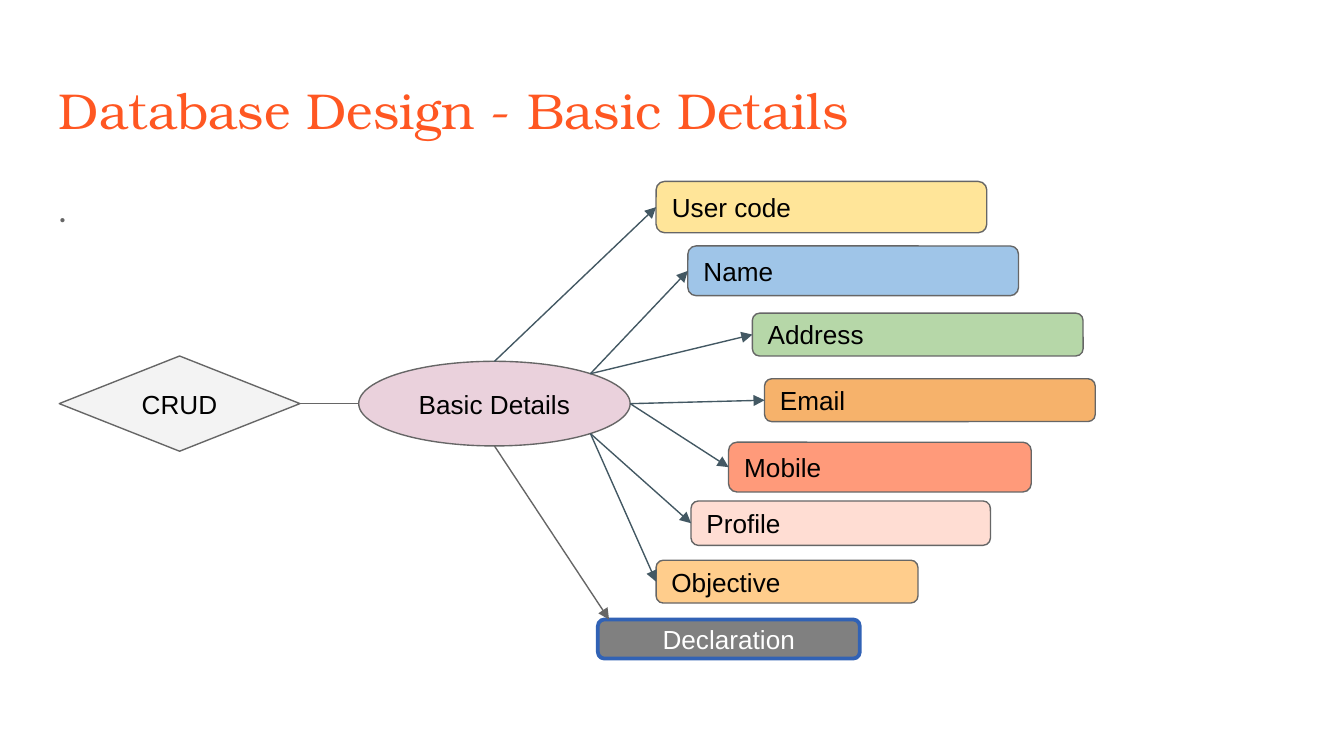
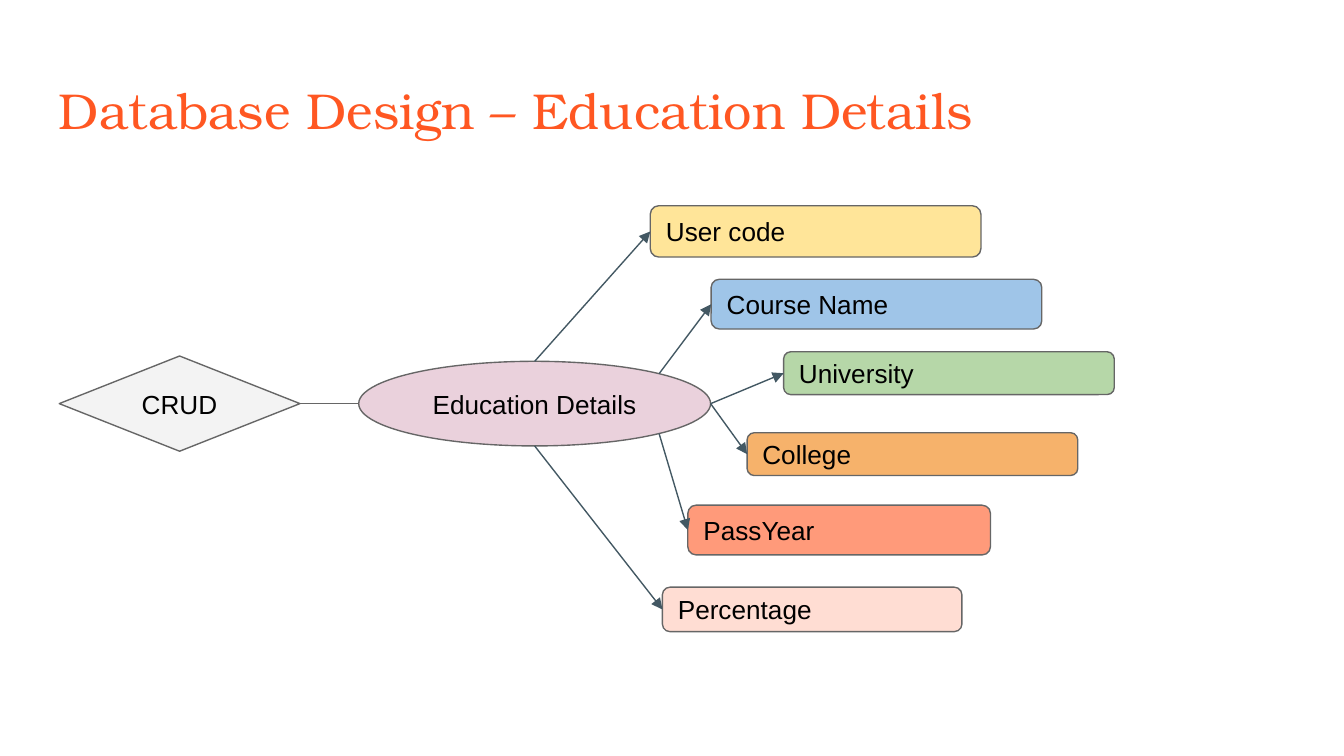
import math

import pptx
import pptx.dml.color
import pptx.enum.shapes
import pptx.enum.text
import pptx.oxml
import pptx.util
from pptx.util import Cm

SHAPE = pptx.enum.shapes.MSO_SHAPE
ALIGN = pptx.enum.text.PP_ALIGN
ANCHOR = pptx.enum.text.MSO_ANCHOR

ORANGE, GREY, SLATE, BLACK, WHITE = "FF5722", "666666", "435863", "000000", "FFFFFF"
PINK, PALE, DARK, BLUE = "EAD1DC", "F3F3F3", "808080", "3162B5"
MID_Y = 7.63
DIAGONAL = math.sqrt(0.5)
SITES = {
    "top": (0, -1),
    "upper right": (DIAGONAL, -DIAGONAL),
    "right": (1, 0),
    "lower right": (DIAGONAL, DIAGONAL),
    "bottom": (0, 1),
}
FIELD_STYLES = [
    ("FFE599", 6.25, 0.97),
    ("9FC5E8", 6.25, 0.94),
    ("B6D7A8", 6.25, 0.81),
    ("F6B26B", 6.25, 0.81),
    ("FF9A7A", 5.72, 0.94),
    ("FFDDD3", 5.66, 0.84),
    ("FFCD8C", 4.95, 0.81),
]
BASIC_FIELDS = [
    ("User code", 12.4, 3.43, "top"),
    ("Name", 13, 4.65, "upper right"),
    ("Address", 14.22, 5.92, "upper right"),
    ("Email", 14.45, 7.16, "right"),
    ("Mobile", 13.77, 8.36, "right"),
    ("Profile", 13.06, 9.47, "lower right"),
    ("Objective", 12.4, 10.59, "lower right"),
]
EDUCATION_FIELDS = [
    ("User code", 12.29, 3.89, "top"),
    ("Course Name", 13.44, 5.28, "upper right"),
    ("University", 14.81, 6.65, "right"),
    ("College", 14.12, 8.18, "right"),
    ("PassYear", 13, 9.55, "lower right"),
    ("Percentage", 12.52, 11.1, "bottom"),
]


def rgb(color):
    return pptx.dml.color.RGBColor.from_string(color)


def write(sp, text, size, font, color, align=ALIGN.LEFT, anchor=ANCHOR.TOP):
    tf = sp.text_frame
    tf.word_wrap = True
    tf.auto_size = pptx.enum.text.MSO_AUTO_SIZE.NONE
    tf.vertical_anchor = anchor
    tf.margin_left = tf.margin_right = tf.margin_top = tf.margin_bottom = Cm(0.25)
    p = tf.paragraphs[0]
    p.text = text
    p.alignment = align
    p.font.size = pptx.util.Pt(size)
    p.font.name = font
    p.font.color.rgb = rgb(color)
    return p


def add_titled_slide(prs, title):
    s = prs.slides.add_slide(prs.slide_layouts[5])
    sp = s.shapes.title
    sp.left, sp.top, sp.width, sp.height = Cm(0.86), Cm(1.24), Cm(23.67), Cm(1.6)
    write(sp, title, 27, "TeX Gyre Bonum", ORANGE)
    return s


def add_body(s, text):
    sp = s.shapes.add_textbox(Cm(0.86), Cm(3.2), Cm(23.67), Cm(9.5))
    p = write(sp, text, 18, "Lato", GREY)
    p.line_spacing = 1.15
    p.space_after = pptx.util.Pt(12)


def add_node(s, kind, text, x, y, w, h, fill, align=ALIGN.CENTER,
             color=BLACK, line=GREY, weight=0.75):
    sp = s.shapes.add_shape(kind, Cm(x), Cm(y), Cm(w), Cm(h))
    sp.shadow.inherit = False
    sp.fill.solid()
    sp.fill.fore_color.rgb = rgb(fill)
    sp.line.color.rgb = rgb(line)
    sp.line.width = pptx.util.Pt(weight)
    write(sp, text, 14, "Arial", color, align, ANCHOR.MIDDLE)
    return sp


def add_line(s, start, end, color=SLATE, arrow=True):
    cxn = s.shapes.add_connector(pptx.enum.shapes.MSO_CONNECTOR.STRAIGHT, *start, *end)
    cxn.line.color.rgb = rgb(color)
    cxn.line.width = pptx.util.Pt(0.75)
    if arrow:
        tail = pptx.oxml.parse_xml(
            '<a:tailEnd xmlns:a="http://schemas.openxmlformats.org/drawingml/2006/main"'
            ' type="triangle"/>')
        cxn.line._get_or_add_ln().append(tail)
    cxn._element.spPr.append(pptx.oxml.parse_xml(
        '<a:effectLst xmlns:a="http://schemas.openxmlformats.org/drawingml/2006/main"/>'))
    return cxn


def site_point(sp, site):
    dx, dy = SITES[site]
    return (round(sp.left + sp.width * (1 + dx) / 2),
            round(sp.top + sp.height * (1 + dy) / 2))


def add_entity(s, name, width, fields):
    crud = add_node(s, SHAPE.DIAMOND, "CRUD", 1.12, MID_Y - 0.9, 4.55, 1.8, PALE)
    entity = add_node(s, SHAPE.OVAL, name, 6.78, MID_Y - 0.8, width, 1.6, PINK)
    link = add_line(s, site_point(crud, "right"), (entity.left, Cm(MID_Y)), GREY, False)
    link.begin_connect(crud, 3)
    for (text, x, y, site), (fill, w, h) in zip(fields, FIELD_STYLES):
        field = add_node(s, SHAPE.ROUNDED_RECTANGLE, text, x, y, w, h, fill, ALIGN.LEFT)
        start = site_point(entity, site)
        add_line(s, start, (field.left, field.top)).end_connect(field, 1)
    return entity


def main():
    prs = pptx.Presentation()
    prs.slide_width, prs.slide_height = Cm(25.4), Cm(14.29)

    s = add_titled_slide(prs, "Database Design - Basic Details")
    add_body(s, ".")
    entity = add_entity(s, "Basic Details", 5.13, BASIC_FIELDS)
    declaration = add_node(s, SHAPE.ROUNDED_RECTANGLE, "Declaration", 11.3, 11.71,
                           4.95, 0.74, DARK, color=WHITE, line=BLUE, weight=2)
    add_line(s, site_point(entity, "bottom"), (Cm(11.51), declaration.top), GREY)

    s = add_titled_slide(prs, "Database Design – Education Details")
    add_entity(s, "Education Details", 6.65, EDUCATION_FIELDS)

    prs.save("out.pptx")


if __name__ == "__main__":
    main()
